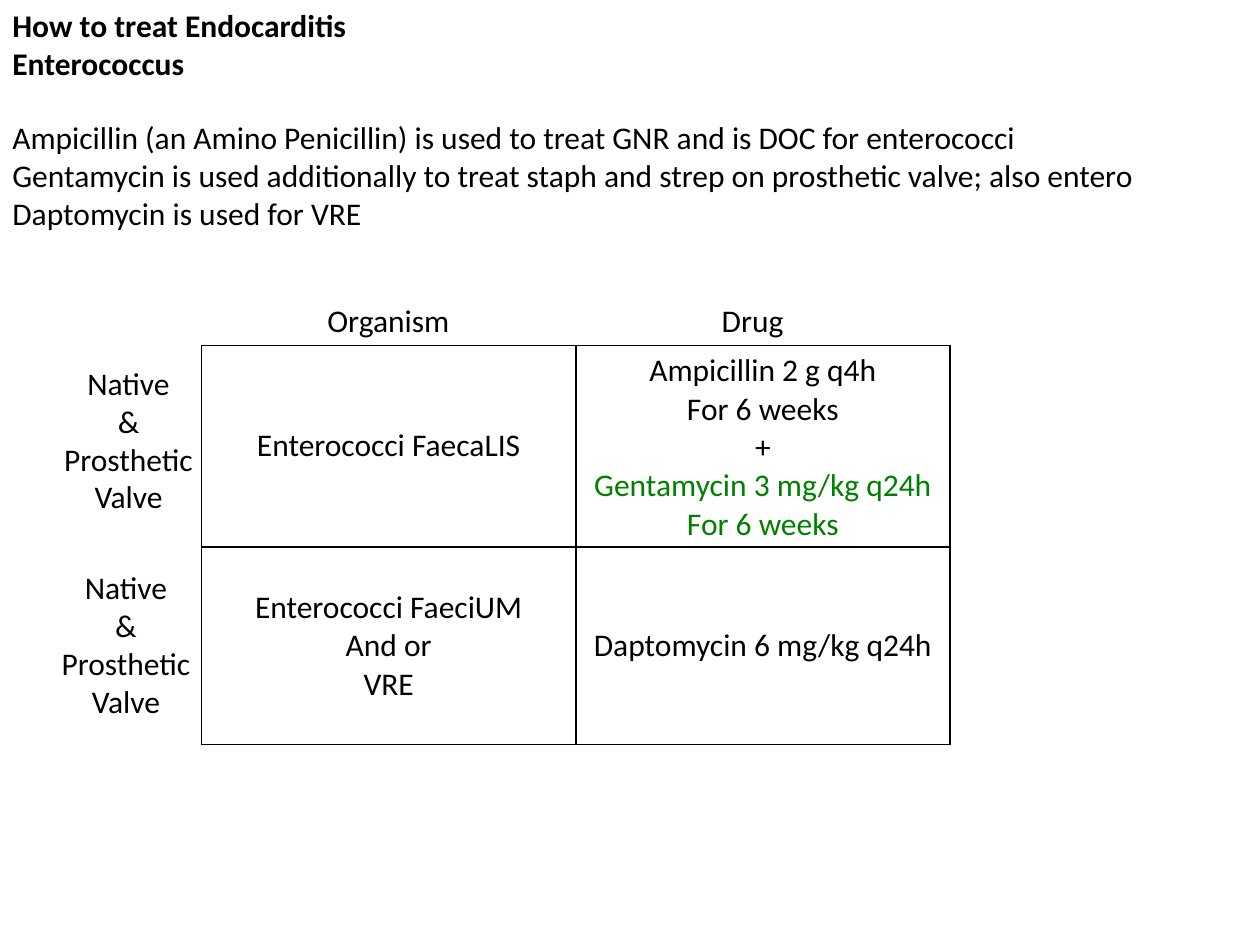
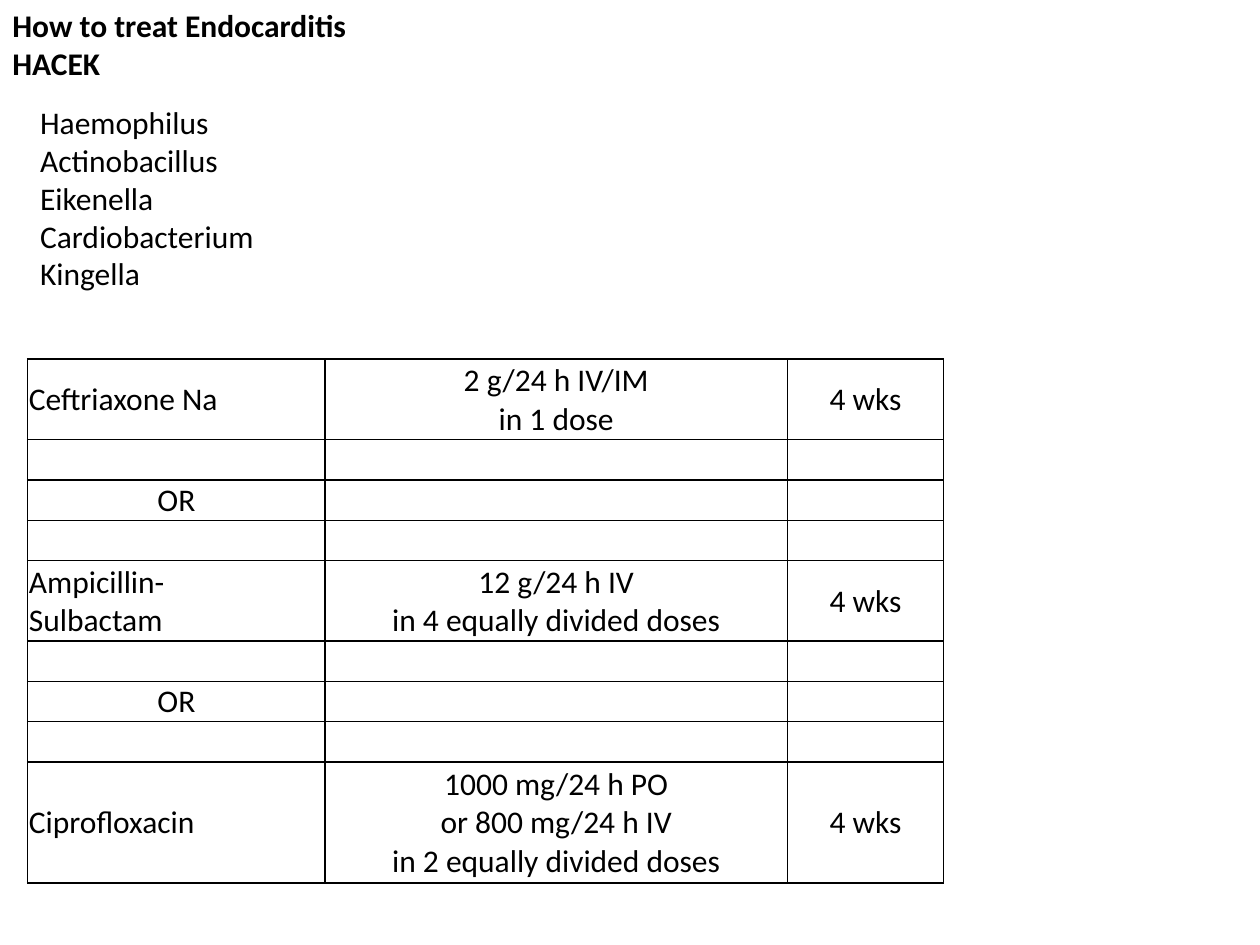
from lxml import etree
from pptx import Presentation
from pptx.dml.color import RGBColor
from pptx.enum.text import MSO_ANCHOR, MSO_AUTO_SIZE, PP_ALIGN
from pptx.oxml.ns import qn
from pptx.util import Inches, Pt

LEFT, CENTER = PP_ALIGN.LEFT, PP_ALIGN.CENTER
MIDDLE = MSO_ANCHOR.MIDDLE
GROW = MSO_AUTO_SIZE.SHAPE_TO_FIT_TEXT

theme = {
    "ink": RGBColor(0, 0, 0),
    "green": RGBColor(0, 128, 0),
    "type": {"name": "Calibri", "size": Pt(18)},
    "line": Pt(1),
}


def write(frame, text, align=LEFT, bold=False):
    frame.text = text
    for para in frame.paragraphs:
        para.alignment = align
        for run in para.runs:
            for key, value in {**theme["type"], "bold": bold}.items():
                setattr(run.font, key, value)
            run.font.color.rgb = theme["ink"]


def draw_grid(slide, left, top, widths, heights, rows, insets):
    size = Inches(sum(widths)), Inches(sum(heights))
    grid = slide.shapes.add_table(
        len(heights), len(widths), Inches(left), Inches(top), *size
    ).table
    grid.first_row = grid.horz_banding = False
    for col, width in zip(grid.columns, widths):
        col.width = Inches(width)
    for row, height, texts in zip(grid.rows, heights, rows):
        row.height = Inches(height)
        for cell, text in zip(row.cells, texts):
            cell.vertical_anchor = MIDDLE
            for side, gap in insets.items():
                setattr(cell, "margin_" + side, Inches(gap))
            write(cell.text_frame, text, CENTER)
            props = cell._tc.get_or_add_tcPr()
            for edge in ("lnL", "lnR", "lnT", "lnB"):
                line = etree.SubElement(props, qn("a:" + edge), w=str(theme["line"]))
                fill = etree.SubElement(line, qn("a:solidFill"))
                etree.SubElement(fill, qn("a:srgbClr"), val=str(theme["ink"]))
            cell.fill.background()
    return grid


deck = Presentation()
deck.slide_width, deck.slide_height = Inches(10), Inches(7.5)
blank = deck.slide_layouts[6]

valve = "Native\n&\nProsthetic\nValve"
drugs = (
    "Ampicillin (an Amino Penicillin) is used to treat GNR and is DOC for enterococci\n"
    "Gentamycin is used additionally to treat staph and strep on prosthetic valve; also entero\n"
    "Daptomycin is used for VRE"
)
germs = "Haemophilus\nActinobacillus\nEikenella\nCardiobacterium\nKingella"

pages = [
    ("Enterococcus", [
        (drugs, (0, 0.89, 9.74, 1.01), LEFT, True),
        (valve, (0.4, 2.84, 1.24, 1.31), CENTER, False),
        ("Organism", (2.5, 2.34, 1.19, 0.4), LEFT, False),
        ("Drug", (5.63, 2.34, 0.7, 0.4), LEFT, False),
        (valve, (0.38, 4.46, 1.24, 1.31), CENTER, False),
    ]),
    ("HACEK", [(germs, (0.22, 0.77, 5, 1.62), LEFT, True)]),
]

slides = []
for topic, notes in pages:
    slide = deck.slides.add_slide(blank)
    slides.append(slide)
    title = ("How to treat Endocarditis\n" + topic, (0, 0, 5, 0.71), LEFT, True)
    for item in [title, *notes]:
        text, place, align, wrap = item
        frame = slide.shapes.add_textbox(*map(Inches, place)).text_frame
        frame.word_wrap = wrap
        frame.auto_size = GROW
        write(frame, text, align, bold=item is title)

cures = [
    ("Enterococci FaecaLIS",
     "Ampicillin 2 g q4h\nFor 6 weeks\n+\nGentamycin 3 mg/kg q24h\nFor 6 weeks"),
    ("Enterococci FaeciUM\nAnd or\nVRE", "Daptomycin 6 mg/kg q24h"),
]
pad = {"left": 0.1, "right": 0.1, "top": 0.05, "bottom": 0.05}
grid = draw_grid(slides[0], 1.6, 2.74, [2.97] * 2, [1.6, 1.57], cures, pad)
for para in grid.cell(0, 1).text_frame.paragraphs[3:]:
    para.runs[0].font.color.rgb = theme["green"]

gap, choice = ("", "", ""), ("OR", "", "")
doses = [
    ("Ceftriaxone Na", "2 g/24 h IV/IM\vin 1 dose", "4 wks"),
    gap, choice, gap,
    ("Ampicillin-\vSulbactam", "12 g/24 h IV\vin 4 equally divided doses", "4 wks"),
    gap, choice, gap,
    ("Ciprofloxacin",
     "1000 mg/24 h PO\vor 800 mg/24 h IV\vin 2 equally divided doses", "4 wks"),
]
heights = [0.32 * (max(text.count("\v") for text in row) + 1) for row in doses]
pad = {"left": 0.01, "right": 0.01, "top": 0.01, "bottom": 0}
grid = draw_grid(slides[1], 0.22, 2.85, [2.36, 3.67, 1.24], heights, doses, pad)
for row in (0, 4, 8):
    grid.cell(row, 0).text_frame.paragraphs[0].alignment = LEFT

deck.save("out.pptx")
